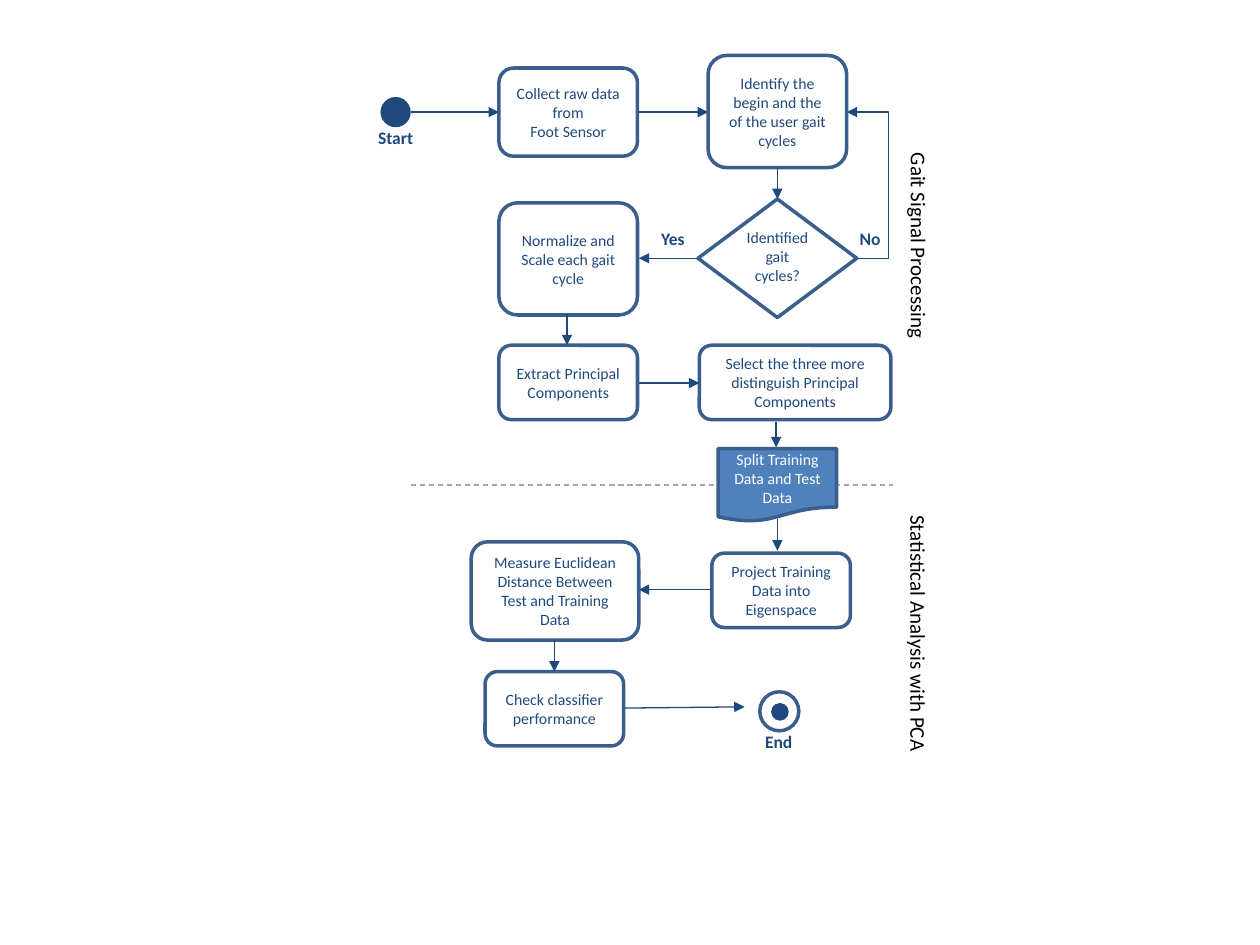
from lxml import etree
from pptx import Presentation
from pptx import util as u
from pptx.dml.color import RGBColor
from pptx.enum import dml, shapes, text
from pptx.oxml.ns import qn

HUE = {"navy": "1F497D", "edge": "3A5F8C", "blue": "4F81BD",
       "gray": "A6A6A6", "white": "FFFFFF", "black": "000000"}
FORM = shapes.MSO_SHAPE
LINK = shapes.MSO_CONNECTOR
MID = text.PP_ALIGN.CENTER
LEFT = text.PP_ALIGN.LEFT

deck = Presentation()
deck.slide_width, deck.slide_height = u.Inches(10), u.Inches(7.5)
page = deck.slides.add_slide(deck.slide_layouts[6])


def put(words, box, form=None, fill=None, edge=None, size=9, hue="navy",
        bold=False, turn=0, align=MID):
    spot = [u.Inches(n) for n in box]
    if form is None:
        item = page.shapes.add_textbox(*spot)
    else:
        item = page.shapes.add_shape(form, *spot)
        item.shadow.inherit = False
        item.fill.solid()
        item.fill.fore_color.rgb = RGBColor.from_string(HUE[fill])
        if edge:
            item.line.color.rgb = RGBColor.from_string(HUE[edge])
            item.line.width = u.Pt(2)
        else:
            item.line.fill.background()
    item.rotation = turn
    if not words:
        return
    frame = item.text_frame
    frame.word_wrap = form is not None
    if form is not None:
        frame.vertical_anchor = text.MSO_ANCHOR.MIDDLE
    for i, row in enumerate(words.split("\n")):
        para = frame.paragraphs[0] if i == 0 else frame.add_paragraph()
        para.alignment = align
        run = para.add_run()
        run.text = row
        run.font.name = "Calibri"
        run.font.size = u.Pt(size)
        run.font.bold = bold
        run.font.color.rgb = RGBColor.from_string(HUE[hue])


def join(start, stop, kind=LINK.STRAIGHT, hue="navy", tip="tailEnd"):
    wire = page.shapes.add_connector(kind, *[u.Inches(n) for n in start + stop])
    wire.line.color.rgb = RGBColor.from_string(HUE[hue])
    wire.line.width = u.Pt(0.75)
    if tip:
        etree.SubElement(wire.line._get_or_add_ln(), qn("a:" + tip), type="triangle")
    etree.SubElement(wire._element.spPr, qn("a:effectLst"))
    return wire


rule = join((3.26, 3.85), (7.09, 3.85), hue="gray", tip=None)
rule.line.dash_style = dml.MSO_LINE.DASH

steps = [
    ("Collect raw data from\nFoot Sensor", (3.96, 0.54, 1.1, 0.7)),
    ("Identify the begin and the of the user gait cycles", (5.62, 0.44, 1.1, 0.89)),
    ("Normalize and Scale each gait cycle", (3.96, 1.61, 1.1, 0.89)),
    ("Extract Principal Components", (3.96, 2.74, 1.1, 0.59)),
    ("Select the three more distinguish Principal Components", (5.55, 2.74, 1.52, 0.59)),
    ("Project Training Data into Eigenspace", (5.65, 4.39, 1.1, 0.59)),
    ("Measure Euclidean Distance Between Test and Training Data", (3.74, 4.3, 1.33, 0.78)),
    ("Check classifier performance", (3.85, 5.33, 1.1, 0.59)),
]
for words, box in steps:
    put(words, box, FORM.ROUNDED_RECTANGLE, "white", "edge")

put("", (5.54, 1.58, 1.26, 0.94), FORM.DIAMOND, "white", "edge")
put("Identified\ngait\ncycles?", (5.82, 1.76, 0.7, 0.56))
put("Split Training Data and Test Data", (5.7, 3.56, 0.94, 0.58),
    FORM.FLOWCHART_DOCUMENT, "blue", "edge", hue="white")
put("", (3.02, 0.77, 0.24, 0.24), FORM.OVAL, "navy")
put("", (6.03, 5.49, 0.31, 0.31), FORM.FLOWCHART_CONNECTOR, "white", "edge")
put("", (6.12, 5.58, 0.14, 0.14), FORM.OVAL, "navy")

tags = [("Start", 2.9, 0.96, 0.48), ("Yes", 5.14, 1.76, 0.4),
        ("No", 6.72, 1.76, 0.37), ("End", 5.97, 5.75, 0.42)]
for words, x, y, wide in tags:
    put(words, (x, y, wide, 0.27), size=10, bold=True)

phases = [("Gait Signal Processing", 6.45, 1.81, 1.69),
          ("Statistical Analysis with PCA", 6.24, 4.89, 2.1)]
for words, x, y, wide in phases:
    put(words, (x, y, wide, 0.3), size=12, hue="black", turn=90, align=LEFT)

across = [(3.26, 3.96, 0.89), (5.07, 5.62, 0.89), (5.54, 5.07, 2.05),
          (5.07, 5.55, 3.04), (5.65, 5.07, 4.68)]
for x, end, y in across:
    join((x, y), (end, y))

down = [(6.17, 1.33, 1.58), (4.5, 2.49, 2.74), (6.16, 3.35, 3.55),
        (6.17, 4.12, 4.37), (4.4, 5.07, 5.33)]
for x, y, end in down:
    join((x, y), (x, end))

join((4.95, 5.62), (5.91, 5.61))

loop = join((6.72, 0.89), (6.8, 2.05), LINK.ELBOW, tip="headEnd")
geom = loop._element.spPr.find(qn("a:prstGeom"))
bend = geom.find(qn("a:avLst"))
if bend is None:
    bend = etree.SubElement(geom, qn("a:avLst"))
etree.SubElement(bend, qn("a:gd"), name="adj1", fmla="val 417500")

deck.save("out.pptx")
